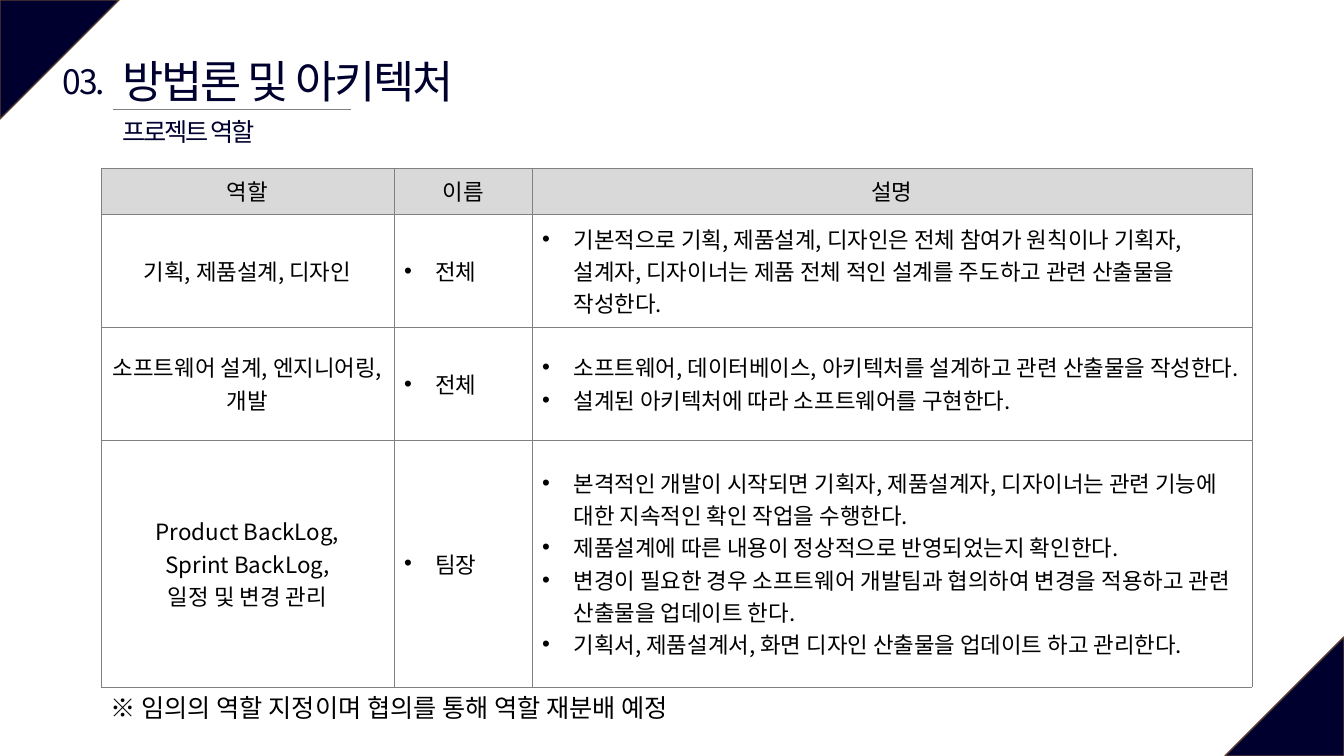
"""Build the project roles slide with its role table."""
from dataclasses import dataclass

from lxml import etree
from pptx import Presentation
from pptx import util as u
from pptx.dml.color import RGBColor
from pptx.enum import shapes, text
from pptx.oxml import ns

FONT = "Noto Sans CJK KR"
NAVY, BLACK, GRAY, HEADER, BROWN = "00002F", "000000", "808080", "D9D9D9", "5B3F33"
WIDTH, HEIGHT, CORNER = 33.87, 19.05, 3.0
COLUMNS = (7.39, 3.48, 18.14)
ROWS = (1.17, 2.84, 2.84, 6.23)
INDENT = 0.79


@dataclass(frozen=True)
class Corner:
    left: float
    top: float
    rotation: int


@dataclass(frozen=True)
class Label:
    text: str
    left: float
    top: float
    width: float
    height: float
    size: int
    color: str = NAVY
    spacing: float = -1.5
    centered: bool = False
    wrap: bool = True


@dataclass(frozen=True)
class Role:
    tasks: tuple[str, ...]
    owner: str
    details: tuple[str, ...]


CORNERS = (
    Corner(0, 0, 90),
    Corner(WIDTH - CORNER, HEIGHT - CORNER, 270),
)

LABELS = (
    Label("방법론 및 아키텍처", 2.84, 1.22, 14.07, 1.62, 32),
    Label("03.", 1.27, 1.4, 1.7, 1.28, 24, centered=True, wrap=False),
    Label("프로젝트 역할", 2.84, 2.8, 14.07, 1.06, 18),
    Label("※ 임의의 역할 지정이며 협의를 통해 역할 재분배 예정",
          2.54, 17.32, 29.01, 1.03, 18, color=BLACK, spacing=0),
)

HEADINGS = ("역할", "이름", "설명")
ROLES = (
    Role(("기획, 제품설계, 디자인",), "전체",
         ("기본적으로 기획, 제품설계, 디자인은 전체 참여가 원칙이나 기획자, 설계자, "
          "디자이너는 제품 전체 적인 설계를 주도하고 관련 산출물을 작성한다.",)),
    Role(("소프트웨어 설계, 엔지니어링, 개발",), "전체",
         ("소프트웨어, 데이터베이스, 아키텍처를 설계하고 관련 산출물을 작성한다.",
          "설계된 아키텍처에 따라 소프트웨어를 구현한다.")),
    Role(("Product BackLog,", "Sprint BackLog,", "일정 및 변경 관리"), "팀장",
         ("본격적인 개발이 시작되면 기획자, 제품설계자, 디자이너는 관련 기능에 대한 "
          "지속적인 확인 작업을 수행한다.",
          "제품설계에 따른 내용이 정상적으로 반영되었는지 확인한다.",
          "변경이 필요한 경우 소프트웨어 개발팀과 협의하여 변경을 적용하고 관련 "
          "산출물을 업데이트 한다.",
          "기획서, 제품설계서, 화면 디자인 산출물을 업데이트 하고 관리한다.")),
)


def rgb(value: str) -> RGBColor:
    """Turn a hex string into a colour."""
    return RGBColor.from_string(value)


def write(para, words: str, *, size: int, color: str = BLACK, spacing: float = 0,
          centered: bool = False, bullet: bool = False) -> None:
    """Write formatted words into a paragraph."""
    para.alignment = text.PP_ALIGN.CENTER if centered else text.PP_ALIGN.LEFT
    span = para.add_run()
    span.text = words
    span.font.size = u.Pt(size)
    span.font.name = FONT
    span.font.color.rgb = rgb(color)
    properties = span._r.get_or_add_rPr()
    etree.SubElement(properties, ns.qn("a:ea"), typeface=FONT)
    if spacing:
        properties.set("spc", str(round(spacing * 100)))
    if bullet:
        layout = para._p.get_or_add_pPr()
        layout.set("marL", str(u.Cm(INDENT)))
        layout.set("indent", str(-u.Cm(INDENT)))
        etree.SubElement(layout, ns.qn("a:buFont"), typeface="Arial")
        etree.SubElement(layout, ns.qn("a:buChar"), char="•")


def draw_corner(page, corner: Corner) -> None:
    """Draw a right triangle in a corner of the page."""
    triangle = page.shapes.add_shape(
        shapes.MSO_SHAPE.ISOSCELES_TRIANGLE,
        u.Cm(corner.left), u.Cm(corner.top), u.Cm(CORNER), u.Cm(CORNER))
    triangle.adjustments[0] = 0
    triangle.rotation = corner.rotation
    triangle.shadow.inherit = False
    triangle.fill.solid()
    triangle.fill.fore_color.rgb = rgb(NAVY)
    triangle.line.color.rgb = rgb(BROWN)
    triangle.line.width = u.Pt(1)


def draw_rule(page) -> None:
    """Draw the thin line below the title."""
    rule = page.shapes.add_connector(
        shapes.MSO_CONNECTOR.STRAIGHT, u.Cm(2.84), u.Cm(2.75), u.Cm(8.84), u.Cm(2.75))
    rule.line.color.rgb = rgb(GRAY)
    rule.line.width = u.Pt(0.5)
    etree.SubElement(rule._element.spPr, ns.qn("a:effectLst"))


def draw_label(page, label: Label) -> None:
    """Draw a text box."""
    box = page.shapes.add_textbox(
        u.Cm(label.left), u.Cm(label.top), u.Cm(label.width), u.Cm(label.height))
    frame = box.text_frame
    frame.word_wrap = label.wrap
    frame.auto_size = text.MSO_AUTO_SIZE.SHAPE_TO_FIT_TEXT
    write(frame.paragraphs[0], label.text, size=label.size, color=label.color,
          spacing=label.spacing, centered=label.centered)


def add_borders(cell) -> None:
    """Give a cell thin lines on all four sides."""
    properties = cell._tc.get_or_add_tcPr()
    for side in ("lnL", "lnR", "lnT", "lnB"):
        line = etree.SubElement(properties, ns.qn(f"a:{side}"), w=str(u.Pt(0.25)))
        fill = etree.SubElement(line, ns.qn("a:solidFill"))
        etree.SubElement(fill, ns.qn("a:srgbClr"), val=GRAY)


def fill_cell(cell, lines: tuple[str, ...], *, header: bool = False,
              bullet: bool = False) -> None:
    """Format a cell and write its lines."""
    add_borders(cell)
    cell.vertical_anchor = text.MSO_ANCHOR.MIDDLE
    if header:
        cell.fill.solid()
        cell.fill.fore_color.rgb = rgb(HEADER)
    else:
        cell.fill.background()
    frame = cell.text_frame
    for index, line in enumerate(lines):
        para = frame.add_paragraph() if index else frame.paragraphs[0]
        write(para, line, size=16, centered=not bullet, bullet=bullet)


def draw_roles(page) -> None:
    """Draw the table of roles."""
    table = page.shapes.add_table(
        len(ROWS), len(COLUMNS), u.Cm(2.54), u.Cm(4.23),
        u.Cm(sum(COLUMNS)), u.Cm(sum(ROWS))).table
    table.first_row = False
    table.horz_banding = False
    for column, width in zip(table.columns, COLUMNS):
        column.width = u.Cm(width)
    for row, height in zip(table.rows, ROWS):
        row.height = u.Cm(height)
    for index, heading in enumerate(HEADINGS):
        fill_cell(table.cell(0, index), (heading,), header=True)
    for index, role in enumerate(ROLES, start=1):
        fill_cell(table.cell(index, 0), role.tasks)
        fill_cell(table.cell(index, 1), (role.owner,), bullet=True)
        fill_cell(table.cell(index, 2), role.details, bullet=True)


def main() -> None:
    """Build and save the deck."""
    deck = Presentation()
    deck.slide_width, deck.slide_height = u.Cm(WIDTH), u.Cm(HEIGHT)
    page = deck.slides.add_slide(deck.slide_layouts[6])
    for corner in CORNERS:
        draw_corner(page, corner)
    draw_rule(page)
    for label in LABELS:
        draw_label(page, label)
    draw_roles(page)
    deck.save("out.pptx")


if __name__ == "__main__":
    main()
